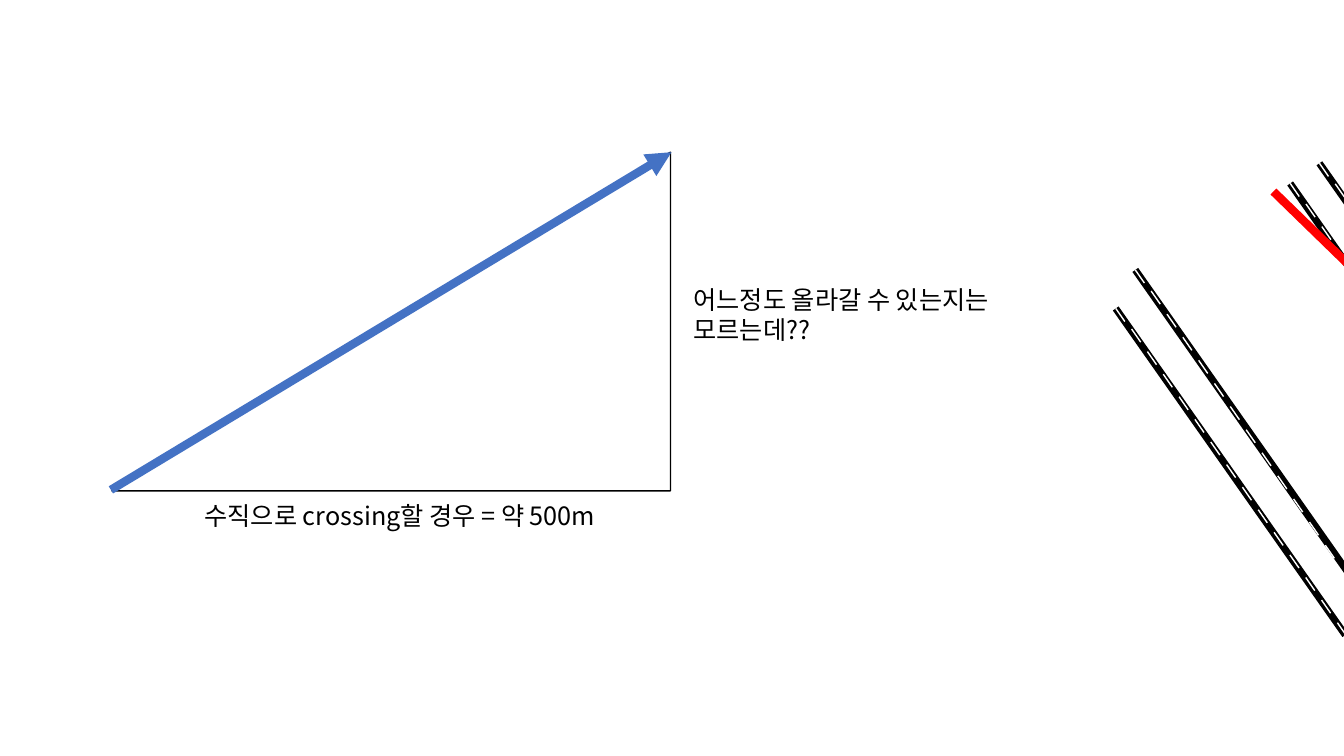
import math
import pptx
import pptx.dml.color
import pptx.enum.shapes
import pptx.enum.text
import pptx.oxml.ns
import pptx.util
from lxml import etree

Inches = pptx.util.Inches
RGBColor = pptx.dml.color.RGBColor
Shape = pptx.enum.shapes.MSO_SHAPE
BLACK = RGBColor(0x00, 0x00, 0x00)
WHITE = RGBColor(0xFF, 0xFF, 0xFF)
RED = RGBColor(0xFF, 0x00, 0x00)
BLUE = RGBColor(0x44, 0x72, 0xC4)
FONT = "Noto Sans CJK KR"

deck = pptx.Presentation()
deck.slide_width = Inches(13.33)
deck.slide_height = Inches(7.5)
page = deck.slides.add_slide(deck.slide_layouts[6])


def add_line(start, end, color, width, arrow=False):
    line = page.shapes.add_connector(
        pptx.enum.shapes.MSO_CONNECTOR.STRAIGHT,
        *[Inches(value) for value in (*start, *end)])
    line.line.color.rgb = color
    line.line.width = pptx.util.Pt(width)
    if arrow:
        outline = line.line._get_or_add_ln()
        etree.SubElement(outline, pptx.oxml.ns.qn("a:tailEnd"), type="triangle")
    etree.SubElement(line._element.spPr, pptx.oxml.ns.qn("a:effectLst"))


def add_text(left, top, width, height, lines):
    box = page.shapes.add_textbox(*[Inches(value) for value in (left, top, width, height)])
    frame = box.text_frame
    frame.word_wrap = True
    frame.auto_size = pptx.enum.text.MSO_AUTO_SIZE.SHAPE_TO_FIT_TEXT
    frame.text = "\n".join(lines)
    for para in frame.paragraphs:
        para.font.size = pptx.util.Pt(18)
        para.font.name = FONT
        para.font.color.rgb = BLACK
        for span in para.runs:
            properties = span.font._element
            etree.SubElement(properties, pptx.oxml.ns.qn("a:ea"), typeface=FONT)


RAIL_WIDTH = 0.07
RAIL_ANGLE = 324.9
lean = math.radians(360 - RAIL_ANGLE)
rails = [
    (14.19, 1.26, 3.96, 2),
    (13.9, 1.46, 3.96, 4),
    (12.39, 2.31, 4.05, 13),
    (12.17, 2.7, 3.96, 15),
]
for left, top, length, dashes in rails:
    rail = page.shapes.add_shape(
        Shape.RECTANGLE, Inches(left), Inches(top), Inches(RAIL_WIDTH), Inches(length))
    rail.rotation = RAIL_ANGLE
    rail.shadow.inherit = False
    rail.fill.solid()
    rail.fill.fore_color.rgb = BLACK
    rail.line.fill.background()
    end_x = left + RAIL_WIDTH / 2 - length / 2 * math.sin(lean)
    end_y = top + length / 2 - length / 2 * math.cos(lean)
    for index in range(dashes):
        x = end_x + index * 0.157
        y = end_y + index * length / 17.67 - (0.02 if index else 0)
        add_line((x, y), (x + 0.09, y + 0.13), WHITE, 1)

add_line((12.63, 1.9), (15.56, 4.75), RED, 6, arrow=True)

triangle = page.shapes.add_shape(
    Shape.ISOSCELES_TRIANGLE, Inches(1.11), Inches(1.51), Inches(5.54), Inches(3.36))
triangle.adjustments[0] = 1
triangle.shadow.inherit = False
triangle.fill.background()
triangle.line.color.rgb = BLACK
triangle.line.width = pptx.util.Pt(1)

add_line((1.1, 4.86), (6.66, 1.51), BLUE, 6, arrow=True)

add_text(1.93, 4.91, 4.2, 0.4, ["수직으로 crossing할 경우 = 약 500m"])
add_text(6.78, 2.77, 3.5, 0.71, ["어느정도 올라갈 수 있는지는", "모르는데??"])

deck.save("out.pptx")
